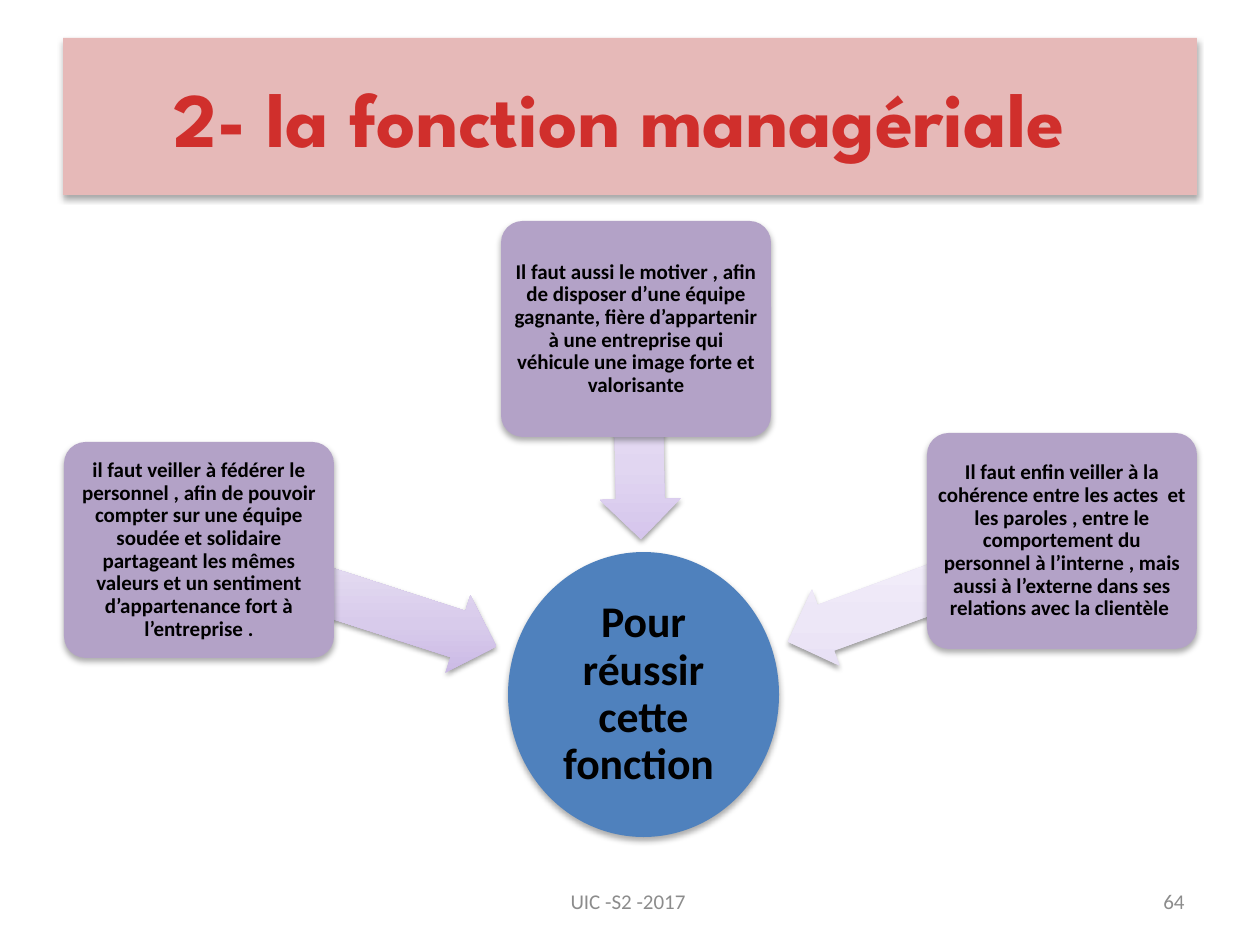
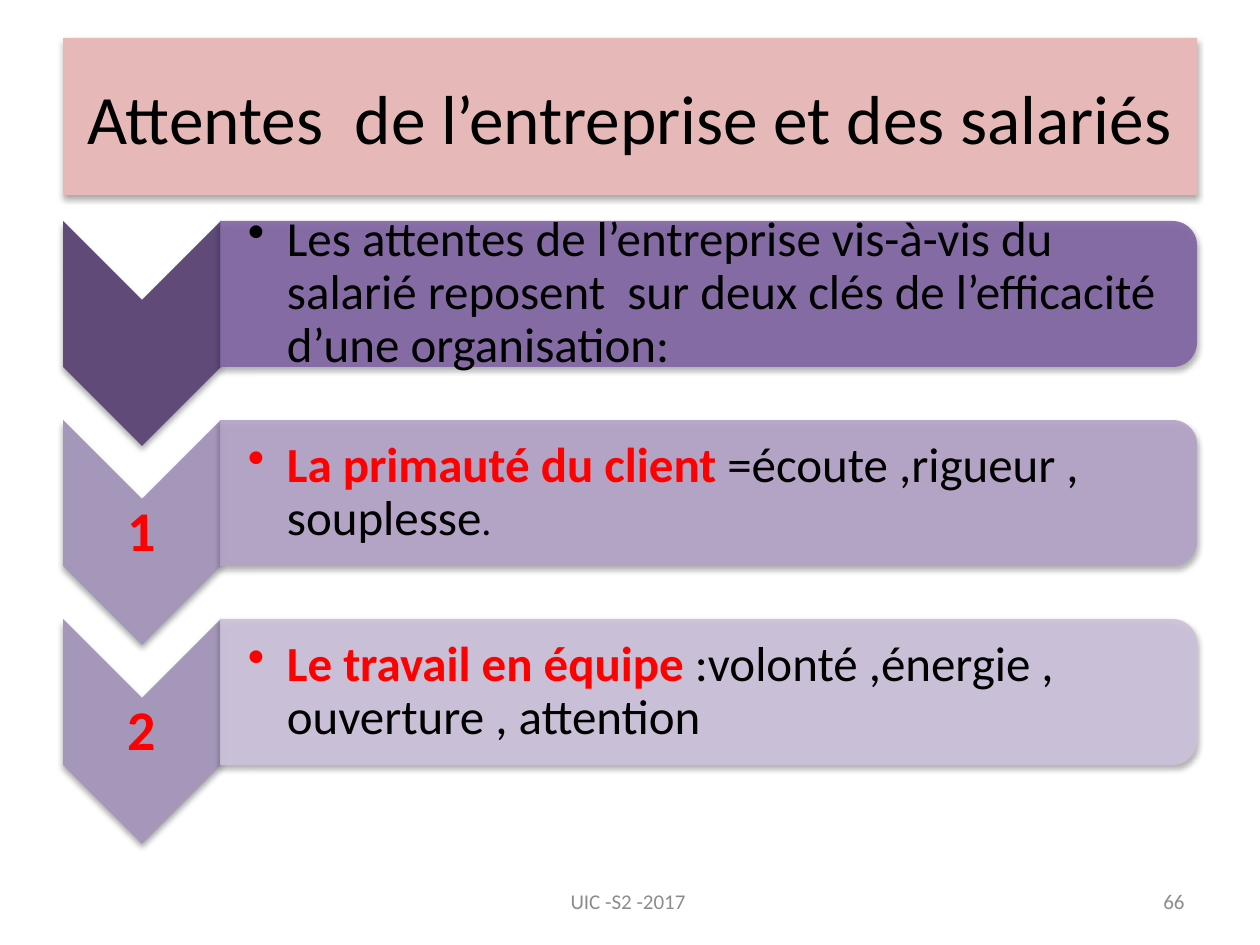
from lxml import etree
from pptx import Presentation, util as u
from pptx.dml.color import RGBColor
from pptx.enum import shapes, text
from pptx.oxml.ns import qn

EMU_PER_PX = 914400 / 126
FONT = "Calibri"
TITLE_FONT = "League Spartan"

BLACK = RGBColor(0x00, 0x00, 0x00)
RED = RGBColor(0xFF, 0x00, 0x00)
TITLE_RED = RGBColor(0xD0, 0x2F, 0x2C)
GREY = RGBColor(0x8C, 0x8C, 0x8C)
PINK = RGBColor(0xE6, 0xB9, 0xB8)
BLUE = RGBColor(0x4F, 0x81, 0xBD)
LILAC = RGBColor(0xB3, 0xA2, 0xC7)
PALE_LILAC = RGBColor(0xCC, 0xC1, 0xDA)
VIOLET = RGBColor(0x80, 0x64, 0xA2)
DARK_VIOLET = RGBColor(0x5F, 0x4A, 0x78)
MUTED_VIOLET = RGBColor(0xA5, 0x97, 0xB9)

LEFT, CENTER, RIGHT = (text.PP_ALIGN.LEFT, text.PP_ALIGN.CENTER,
                       text.PP_ALIGN.RIGHT)
SOFT_SHADOW = (32, 3.5, 2.2)
ARROW_SHADOW = (38, 3.15, 1.57)

CONDITIONS = [
    ((64, 442), "il faut veiller à fédérer le personnel , afin de pouvoir "
     "compter sur une équipe soudée et solidaire partageant les mêmes valeurs "
     "et un sentiment d’appartenance fort à l’entreprise .",
     (192, 558, 312, 81), 197.9, ("C8B5E4", "D8CBEB", "F0EBF8")),
    ((501, 221), "Il faut aussi le motiver , afin de disposer d’une équipe "
     "gagnante, fière d’appartenir à une entreprise qui véhicule une image "
     "forte et valorisante",
     (533, 393, 212, 81), 268.9, ("D5C5EC", "E1D6F1", "F3EFFA")),
    ((927, 433), "Il faut enfin veiller à la cohérence entre les actes  et les "
     "paroles , entre le comportement du personnel à l’interne , mais aussi à "
     "l’externe dans ses relations avec la clientèle ",
     (779, 551, 292, 81), 339.9, ("E6DEF4", "EDE7F7", "F8F5FC")),
]

EXPECTATIONS = [
    ("", DARK_VIOLET, VIOLET,
     [("Les attentes de l’entreprise vis-à-vis du salarié reposent  sur deux "
       "clés de l’efficacité d’une organisation:", 28, BLACK, False)]),
    ("1", MUTED_VIOLET, LILAC,
     [("La primauté du client ", 28, RED, True),
      ("=écoute ,rigueur , souplesse", 28, BLACK, False),
      (".", 23, BLACK, False)]),
    ("2", MUTED_VIOLET, PALE_LILAC,
     [("Le travail en équipe ", 28, RED, True),
      (":volonté ,énergie , ouverture , attention", 28, BLACK, False)]),
]


def px(length):
    """Turn a length in px into EMU."""
    return u.Emu(round(length * EMU_PER_PX))


def add_element(parent, tag, **attributes):
    """Append a DrawingML child element to a parent."""
    child = etree.SubElement(parent, qn(tag))
    for name, value in attributes.items():
        child.set(name, str(value))
    return child


def add_shadow(shape, alpha, blur, distance):
    """Give a shape a soft shadow that falls straight down."""
    shape.shadow.inherit = False
    effects = shape.element.spPr.find(qn("a:effectLst"))
    shadow = add_element(effects, "a:outerShdw", blurRad=u.Pt(blur),
                         dist=u.Pt(distance), dir=5400000, rotWithShape=0)
    color = add_element(shadow, "a:srgbClr", val="000000")
    add_element(color, "a:alpha", val=alpha * 1000)


def paint(shape, color, alpha=100):
    """Fill a shape with one colour, without outline, over a soft shadow."""
    shape.fill.solid()
    shape.fill.fore_color.rgb = color
    if alpha < 100:
        fill_color = shape.element.spPr.find(qn("a:solidFill"))[0]
        add_element(fill_color, "a:alpha", val=alpha * 1000)
    shape.line.fill.background()
    add_shadow(shape, *SOFT_SHADOW)


def paint_gradient(shape, colors):
    """Fill a shape with an upward gradient that ignores its rotation."""
    shape.fill.gradient()
    gradient = shape.element.spPr.find(qn("a:gradFill"))
    for child in list(gradient):
        gradient.remove(child)
    gradient.set("rotWithShape", "0")
    stops = add_element(gradient, "a:gsLst")
    for position, color in zip((0, 35000, 100000), colors):
        stop = add_element(stops, "a:gs", pos=position)
        add_element(stop, "a:srgbClr", val=color)
    add_element(gradient, "a:lin", ang=16200000, scaled=0)
    shape.line.fill.background()


def add_preset(slide, preset, left, top, width, height):
    """Add a preset shape placed in px."""
    return slide.shapes.add_shape(preset, px(left), px(top), px(width),
                                  px(height))


def add_turned(slide, preset, left, top, width, height):
    """Add a shape turned by 90 degrees that covers the given area."""
    shift = (width - height) / 2
    shape = add_preset(slide, preset, left + shift, top - shift, height, width)
    shape.rotation = 90
    return shape


def write(shape, runs, align=CENTER, font=FONT, spacing=None, insets=None):
    """Write one paragraph of (text, size, colour, bold) runs in a shape."""
    frame = shape.text_frame
    frame.word_wrap = True
    frame.auto_size = text.MSO_AUTO_SIZE.NONE
    frame.vertical_anchor = text.MSO_ANCHOR.MIDDLE
    if insets:
        (frame.margin_left, frame.margin_top, frame.margin_right,
         frame.margin_bottom) = map(px, insets)
    paragraph = frame.paragraphs[0]
    paragraph.alignment = align
    if spacing:
        paragraph.line_spacing = spacing
    for words, size, color, bold in runs:
        run = paragraph.add_run()
        run.text = words
        run.font.name = font
        run.font.size = u.Pt(size)
        run.font.color.rgb = color
        run.font.bold = bold
    return paragraph


def add_label(slide, left, top, width, height, runs, **layout):
    """Add a text box and return its paragraph."""
    box = slide.shapes.add_textbox(px(left), px(top), px(width), px(height))
    return write(box, runs, **layout)


def add_bullet(paragraph, indent):
    """Give a paragraph a round bullet with a hanging indent."""
    properties = paragraph._p.get_or_add_pPr()
    properties.set("marL", str(px(indent)))
    properties.set("indent", str(-px(indent)))
    add_element(properties, "a:buChar", char="•")


def add_slide(presentation, title_run, number, title_font=FONT):
    """Add a slide with its title band, footer and page number."""
    slide = presentation.slides.add_slide(presentation.slide_layouts[5])
    title = slide.shapes.title
    title.left, title.top, title.width, title.height = map(
        px, (63, 38, 1134, 157))
    paint(title, PINK)
    write(title, [title_run], font=title_font)
    add_label(slide, 903, 876, 294, 50, [(number, 12, GREY, False)],
              align=RIGHT)
    add_label(slide, 431, 876, 399, 50, [("UIC -S2 -2017 ", 12, GREY, False)])
    return slide


def add_condition(slide, corner, words, arrow_area, angle, colors):
    """Add a condition box with its arrow towards the goal."""
    arrow = add_preset(slide, shapes.MSO_SHAPE.LEFT_ARROW, *arrow_area)
    arrow.adjustments[0] = 0.6
    arrow.adjustments[1] = 0.5
    arrow.rotation = angle
    paint_gradient(arrow, colors)
    add_shadow(arrow, *ARROW_SHADOW)
    box = add_preset(slide, shapes.MSO_SHAPE.ROUNDED_RECTANGLE, *corner,
                     270, 216)
    box.adjustments[0] = 0.1
    paint(box, LILAC)
    write(box, [(words, 12, BLACK, True)], spacing=0.9, insets=(4, 4, 4, 4))


def add_expectation(slide, top, number, chevron_color, bar_color, runs):
    """Add a numbered chevron and the bar with its bullet."""
    chevron = add_turned(slide, shapes.MSO_SHAPE.CHEVRON, 63, top, 158, 225)
    paint(chevron, chevron_color)
    if number:
        add_label(slide, 63, top + 79, 158, 68, [(number, 32, RED, True)],
                  spacing=0.9, insets=(3, 3, 3, 3))
    bar = add_turned(slide, shapes.MSO_SHAPE.ROUND_2_SAME_RECTANGLE,
                     220, top, 977, 146)
    paint(bar, bar_color, alpha=90)
    paragraph = add_label(slide, 220, top + 7, 969, 132, runs, align=LEFT,
                          spacing=0.9, insets=(28, 2, 2, 2))
    add_bullet(paragraph, 39)


def build_management(presentation):
    """Build the slide on the management function."""
    slide = add_slide(presentation, ("2- la fonction managériale ", 44,
                                     TITLE_RED, True), "64", TITLE_FONT)
    goal = add_preset(slide, shapes.MSO_SHAPE.OVAL, 508, 552, 271, 285)
    paint(goal, BLUE)
    write(goal, [("Pour réussir cette fonction ", 25, BLACK, True)],
          spacing=0.9, insets=(3, 3, 3, 3))
    for condition in CONDITIONS:
        add_condition(slide, *condition)


def build_expectations(presentation):
    """Build the slide on the expectations of company and staff."""
    slide = add_slide(presentation, ("Attentes  de l’entreprise et des salariés",
                                     39.6, BLACK, False), "66")
    for index, expectation in enumerate(EXPECTATIONS):
        add_expectation(slide, 221 + index * 199, *expectation)


def main():
    """Build and save the presentation."""
    presentation = Presentation()
    presentation.slide_width = px(1260)
    presentation.slide_height = px(945)
    build_management(presentation)
    build_expectations(presentation)
    presentation.save("out.pptx")


if __name__ == "__main__":
    main()
